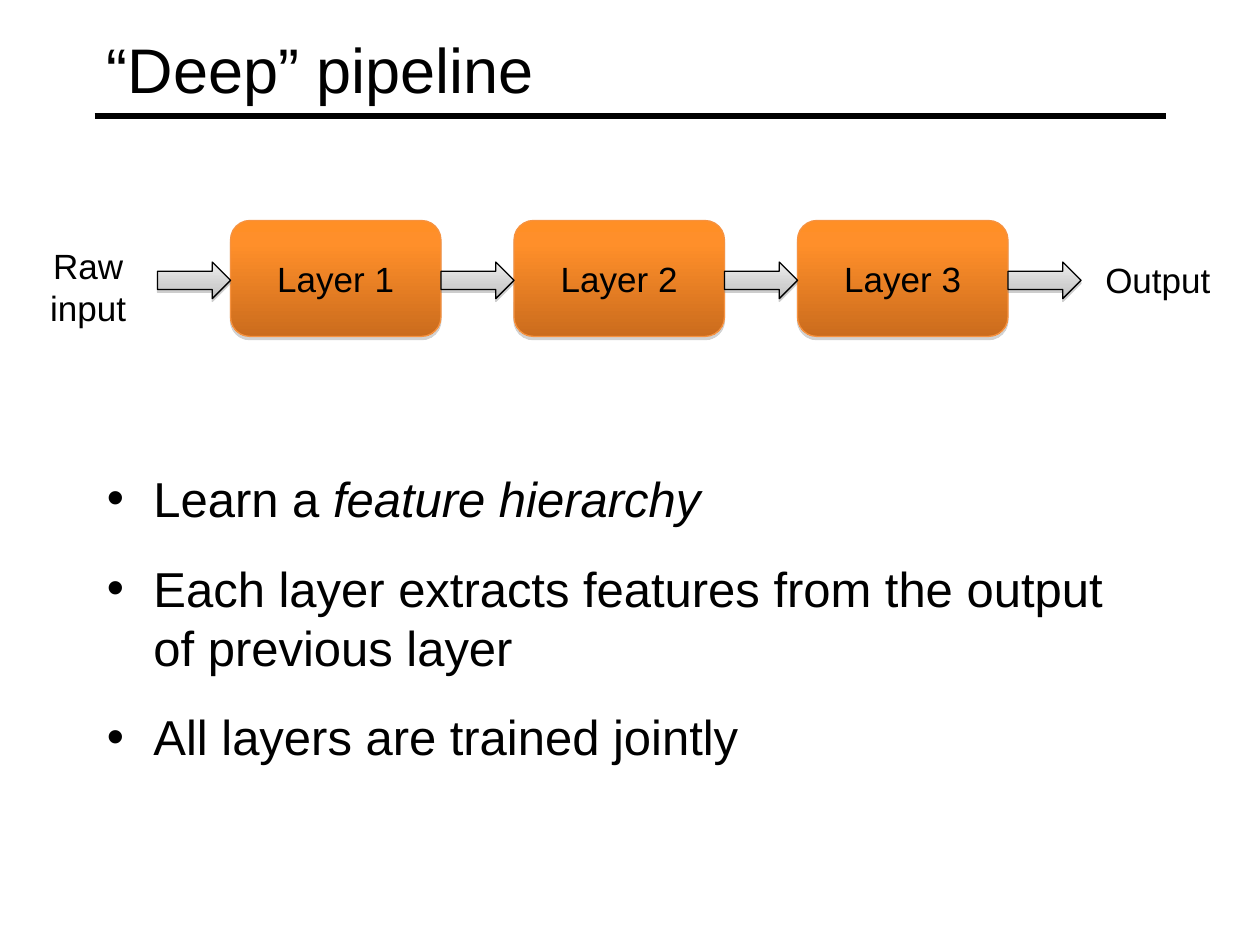
from lxml import etree
from pptx import Presentation
from pptx.dml.color import RGBColor
from pptx.enum.shapes import MSO_CONNECTOR, MSO_SHAPE
from pptx.enum.text import MSO_ANCHOR, PP_ALIGN
from pptx.oxml.ns import qn
from pptx.util import Inches, Pt

ROUND, ARROW = MSO_SHAPE.ROUNDED_RECTANGLE, MSO_SHAPE.RIGHT_ARROW
LINE = MSO_CONNECTOR.STRAIGHT
LEFT, CENTER = PP_ALIGN.LEFT, PP_ALIGN.CENTER
TOP, MIDDLE = MSO_ANCHOR.TOP, MSO_ANCHOR.MIDDLE
BLACK = RGBColor(0x00, 0x00, 0x00)
EDGE = RGBColor(0xF6, 0x92, 0x40)
SHADE = RGBColor(0x80, 0x80, 0x80)
ORANGE = [
    (0, RGBColor(0xFF, 0x8F, 0x26)),
    (20, RGBColor(0xFF, 0x8F, 0x2A)),
    (100, RGBColor(0xCB, 0x6C, 0x1D)),
]
GRAY = [
    (0, RGBColor(0xED, 0xED, 0xED)),
    (65, RGBColor(0xD0, 0xD0, 0xD0)),
    (100, RGBColor(0xBC, 0xBC, 0xBC)),
]
BOX_W, BOX_H, BOX_TOP = 1.67, 0.92, 1.75
ARROW_W, ARROW_H, ARROW_TOP = 0.58, 0.29, 2.08
START, STEP = 1.25, 2.25
LAYERS = ["Layer 1", "Layer 2", "Layer 3"]
POINTS = [
    [("Learn a ", False), ("feature hierarchy", True)],
    [("Each layer extracts features from the output of previous layer", False)],
    [("All layers are trained jointly", False)],
]


def add_tag(parent, tag, **attrs):
    node = etree.SubElement(parent, qn(tag))
    for key, value in attrs.items():
        node.set(key, str(value))
    return node


def add_bullet(para):
    props = para._p.get_or_add_pPr()
    props.set("marL", str(Inches(0.37)))
    props.set("indent", str(Inches(-0.37)))
    add_tag(props, "a:buFont", typeface="Arial")
    add_tag(props, "a:buChar", char="•")


def put_text(shape, paras, size=20, align=CENTER, anchor=TOP, wrap=True, bullet=False):
    frame = shape.text_frame
    frame.word_wrap = wrap
    frame.vertical_anchor = anchor
    if isinstance(paras, str):
        paras = [[(paras, False)]]
    for i, runs in enumerate(paras):
        para = frame.add_paragraph() if i else frame.paragraphs[0]
        para.alignment = align
        if bullet:
            para.space_before = Pt(5.6 if i else 0)
            para.space_after = Pt(12)
            add_bullet(para)
        for words, slant in runs:
            run = para.add_run()
            run.text = words
            run.font.name = "Arial"
            run.font.size = Pt(size)
            run.font.italic = slant
            run.font.color.rgb = BLACK


def add_text(slide, text, left, top, width, height, **style):
    box = slide.shapes.add_textbox(
        Inches(left), Inches(top), Inches(width), Inches(height)
    )
    put_text(box, text, **style)


def add_block(slide, kind, left, top, width, height, stops, edge, alpha, drop):
    shape = slide.shapes.add_shape(
        kind, Inches(left), Inches(top), Inches(width), Inches(height)
    )
    shape.fill.gradient()
    shape.fill.gradient_angle = 270
    props = shape._element.spPr
    ramp = props.find(".//" + qn("a:gsLst"))
    for stop in list(ramp):
        ramp.remove(stop)
    for place, color in stops:
        stop = add_tag(ramp, "a:gs", pos=place * 1000)
        add_tag(stop, "a:srgbClr", val=color)
    shape.line.color.rgb = edge
    shape.line.width = Pt(0.75)
    shape.shadow.inherit = False
    shadow = add_tag(
        props.find(qn("a:effectLst")), "a:outerShdw",
        blurRad=0, dist=Pt(drop), dir=5400000, rotWithShape=0,
    )
    tint = add_tag(shadow, "a:srgbClr", val=SHADE)
    add_tag(tint, "a:alpha", val=alpha * 1000)
    return shape


def add_layer(slide, left, name):
    box = add_block(
        slide, ROUND, left, BOX_TOP, BOX_W, BOX_H, ORANGE, EDGE, 35, 1.8
    )
    put_text(box, name, anchor=MIDDLE)


def add_arrow(slide, left):
    add_block(
        slide, ARROW, left, ARROW_TOP, ARROW_W, ARROW_H, GRAY, BLACK, 38, 1.6
    )


def add_rule(slide):
    rule = slide.shapes.add_connector(
        LINE, Inches(0.75), Inches(0.92), Inches(9.25), Inches(0.92)
    )
    rule.line.color.rgb = BLACK
    rule.line.width = Pt(3)
    add_tag(rule._element.spPr, "a:effectLst")


def main():
    deck = Presentation()
    deck.slide_width, deck.slide_height = Inches(10), Inches(7.5)
    slide = deck.slides.add_slide(deck.slide_layouts[6])
    add_rule(slide)
    add_text(
        slide, "“Deep” pipeline", 0.75, 0.08, 8.5, 0.92,
        size=36, align=LEFT, anchor=MIDDLE,
    )
    add_text(
        slide, POINTS, 0.75, 3.67, 8.5, 3.17, size=28, align=LEFT, bullet=True
    )
    for i, name in enumerate(LAYERS):
        add_layer(slide, START + ARROW_W + i * STEP, name)
    for i in range(len(LAYERS) + 1):
        add_arrow(slide, START + i * STEP)
    add_text(slide, "Raw input", 0.08, 1.89, 1.24, 0.77)
    add_text(slide, "Output", 8.67, 2, 1.04, 0.44, wrap=False)
    deck.save("out.pptx")


if __name__ == "__main__":
    main()
